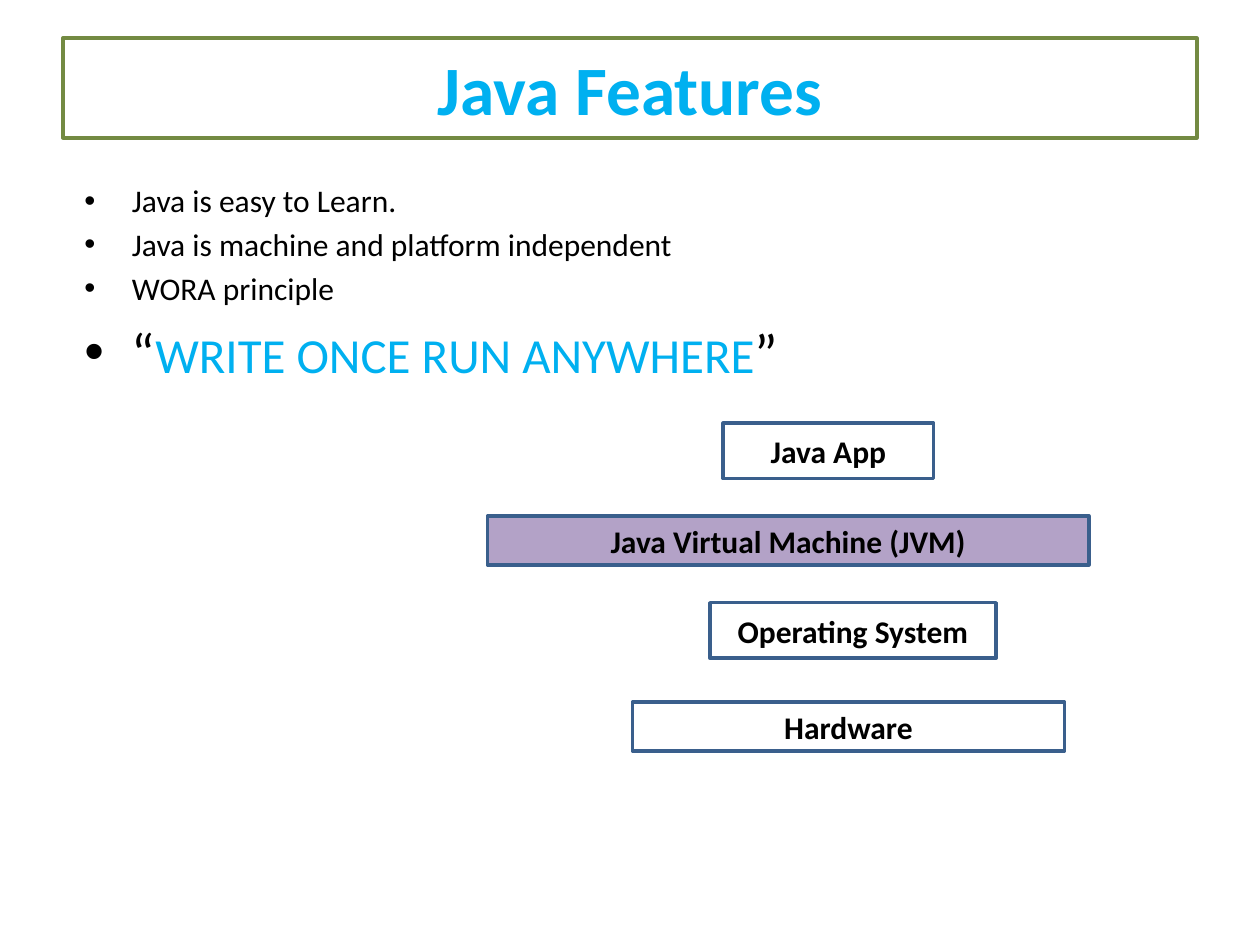
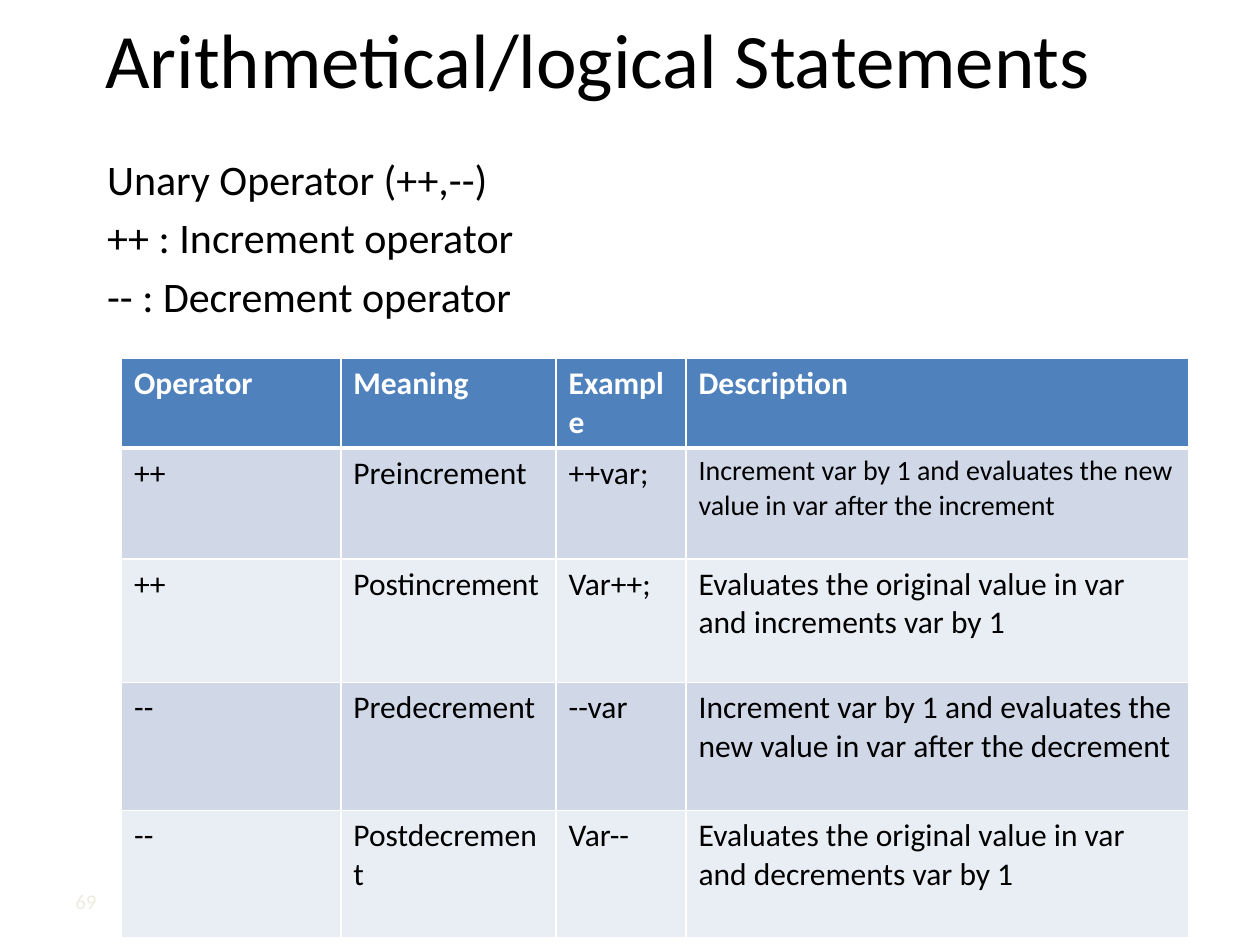
"""Build two Java lecture slides: language features and unary operators."""
from dataclasses import dataclass

from lxml import etree
from pptx import Presentation
from pptx.dml.color import RGBColor
from pptx.enum.shapes import MSO_SHAPE
from pptx.enum.text import MSO_ANCHOR, PP_ALIGN
from pptx.oxml.ns import qn
from pptx.util import Cm, Pt

RECTANGLE = MSO_SHAPE.RECTANGLE
MIDDLE, TOP = MSO_ANCHOR.MIDDLE, MSO_ANCHOR.TOP
CENTER, LEFT = PP_ALIGN.CENTER, PP_ALIGN.LEFT


@dataclass(frozen=True)
class Theme:
    """Colours, type sizes and line widths shared by the slides."""
    font: str = "Calibri"
    text: str = "000000"
    paper: str = "FFFFFF"
    accent: str = "00B0F0"
    title_line: str = "738A42"
    layer_line: str = "3A5F8C"
    jvm_fill: str = "B3A2C7"
    header_fill: str = "4F81BD"
    odd_row: str = "D0D8E8"
    even_row: str = "E9EDF4"
    page_number: str = "EEECE1"
    boxed_title_size: float = 39.6
    title_size: float = 44
    quote_size: float = 32
    motto_size: float = 28
    statement_size: float = 24
    body_size: float = 18
    small_size: float = 16
    page_size: float = 12
    outline: float = 2
    rule: float = 1
    header_rule: float = 3
    paragraph_gap: float = 0.19


THEME = Theme()

LAYERS = [
    ("Java App", (14.58, 8.53, 4.24, 1.12), THEME.paper),
    ("Java Virtual Machine (JVM)", (9.83, 10.4, 12.12, 0.99), THEME.jvm_fill),
    ("Operating System", (14.31, 12.15, 5.77, 1.12), THEME.paper),
    ("Hardware", (12.75, 14.15, 8.71, 0.99), THEME.paper),
]
FEATURES = [
    "Java is easy to Learn.",
    "Java is machine and platform independent",
    "WORA principle",
]
MOTTO = [
    ("“", THEME.quote_size, THEME.text),
    ("WRITE ONCE RUN ANYWHERE", THEME.motto_size, THEME.accent),
    ("”", THEME.quote_size, THEME.text),
]
STATEMENTS = [
    "Unary Operator (++,--)",
    "++ : Increment operator",
    "-- : Decrement operator",
]
OPERATORS = [
    ("Operator", "Meaning", "Example", "Description"),
    ("++", "Preincrement", "++var;",
     "Increment var by 1 and evaluates the new value in var after the increment"),
    ("++", "Postincrement", "Var++;",
     "Evaluates the original value in var and increments var by 1"),
    ("--", "Predecrement", "--var",
     "Increment var by 1 and evaluates the new value in var after the decrement"),
    ("--", "Postdecrement", "Var--",
     "Evaluates the original value in var and decrements var by 1"),
]
COLUMN_WIDTHS = (4.42, 4.34, 2.62, 10.13)
ROW_HEIGHTS = (1.8, 2.24, 2.49, 2.58, 2.56)


def place(box):
    """Turn a box in centimetres into lengths."""
    return [Cm(length) for length in box]


def style_run(run, size, color=THEME.text, bold=False):
    """Set the typeface, size, colour and weight of a run."""
    run.font.name = THEME.font
    run.font.size = Pt(size)
    run.font.color.rgb = RGBColor.from_string(color)
    run.font.bold = bold


def add_label(shape, text, size, color=THEME.text, bold=False, align=CENTER):
    """Write one line of text, centred vertically, in a shape."""
    frame = shape.text_frame
    frame.word_wrap = True
    frame.vertical_anchor = MIDDLE
    frame.text = text
    frame.paragraphs[0].alignment = align
    style_run(frame.paragraphs[0].runs[0], size, color, bold)


def add_box(slide, box, text, size, fill=THEME.paper, line=None, color=THEME.text):
    """Add a filled rectangle; an outlined one has a bold label."""
    rectangle = slide.shapes.add_shape(RECTANGLE, *place(box))
    rectangle.shadow.inherit = False
    rectangle.fill.solid()
    rectangle.fill.fore_color.rgb = RGBColor.from_string(fill)
    if line:
        rectangle.line.color.rgb = RGBColor.from_string(line)
        rectangle.line.width = Pt(THEME.outline)
    else:
        rectangle.line.fill.background()
    add_label(rectangle, text, size, color, bold=line is not None)


def add_page_number(slide, box, number):
    """Add the pale page number at the lower left."""
    add_label(slide.shapes.add_textbox(*place(box)), number,
              THEME.page_size, THEME.page_number, align=LEFT)


def indent(paragraph, margin, hanging=0, bullet=None):
    """Set the left margin of a paragraph, with an optional hanging bullet."""
    properties = paragraph._p.get_or_add_pPr()
    properties.set("marL", str(Cm(margin)))
    properties.set("indent", str(-Cm(hanging)))
    if bullet:
        etree.SubElement(properties, qn("a:buFont")).set("typeface", "Arial")
        etree.SubElement(properties, qn("a:buChar")).set("char", bullet)


def add_paragraphs(slide, box, paragraphs, margin, hanging=0, bullet=None):
    """Add a text block whose paragraphs are lists of (text, size, colour)."""
    frame = slide.shapes.add_textbox(*place(box)).text_frame
    frame.word_wrap = True
    for index, pieces in enumerate(paragraphs):
        paragraph = frame.add_paragraph() if index else frame.paragraphs[0]
        indent(paragraph, margin, hanging, bullet)
        if index:
            largest = max(size for _, size, _ in pieces)
            paragraph.space_before = Pt(THEME.paragraph_gap * largest)
        for text, size, color in pieces:
            run = paragraph.add_run()
            run.text = text
            style_run(run, size, color)


def add_borders(cell, top, bottom):
    """Draw the four paper-coloured borders of a table cell."""
    properties = cell._tc.get_or_add_tcPr()
    widths = {"lnL": THEME.rule, "lnR": THEME.rule, "lnT": top, "lnB": bottom}
    for side, width in widths.items():
        border = etree.SubElement(properties, qn(f"a:{side}"), w=str(Pt(width)))
        fill = etree.SubElement(border, qn("a:solidFill"))
        etree.SubElement(fill, qn("a:srgbClr")).set("val", THEME.paper)


def fill_cell(cell, text, row, size):
    """Write and colour one cell according to its row."""
    header = row == 0
    add_borders(cell,
                top=THEME.header_rule if row == 1 else THEME.rule,
                bottom=THEME.header_rule if header else THEME.rule)
    band = THEME.odd_row if row % 2 else THEME.even_row
    cell.fill.solid()
    cell.fill.fore_color.rgb = RGBColor.from_string(THEME.header_fill if header else band)
    cell.vertical_anchor = TOP
    cell.text = text
    style_run(cell.text_frame.paragraphs[0].runs[0], size,
              THEME.paper if header else THEME.text, header)


def add_operator_table(slide, left, top):
    """Add the table of increment and decrement operators."""
    box = (left, top, sum(COLUMN_WIDTHS), sum(ROW_HEIGHTS))
    table = slide.shapes.add_table(
        len(ROW_HEIGHTS), len(COLUMN_WIDTHS), *place(box)).table
    for column, width in zip(table.columns, COLUMN_WIDTHS):
        column.width = Cm(width)
    for row, height in zip(table.rows, ROW_HEIGHTS):
        row.height = Cm(height)
    for row, texts in enumerate(OPERATORS):
        for column, text in enumerate(texts):
            tight = (row, column) == (1, 3)
            size = THEME.small_size if tight else THEME.body_size
            fill_cell(table.cell(row, column), text, row, size)


def build_features(slide):
    """Build the slide on Java features and its platform layers."""
    add_box(slide, (1.27, 0.77, 22.86, 2.01), "Java Features",
            THEME.boxed_title_size, line=THEME.title_line, color=THEME.accent)
    features = [[(text, THEME.body_size, THEME.text)] for text in FEATURES]
    add_paragraphs(slide, (1.45, 3.53, 22.86, 12.57), features + [MOTTO],
                   margin=0.96, hanging=0.96, bullet="•")
    for text, box, fill in LAYERS:
        add_box(slide, box, text, THEME.body_size, fill, THEME.layer_line)


def build_operators(slide):
    """Build the slide on unary operators."""
    add_box(slide, (0.63, 0, 22.86, 2.34),
            "Arithmetical/logical Statements", THEME.title_size)
    statements = [[(text, THEME.statement_size, THEME.text)] for text in STATEMENTS]
    add_paragraphs(slide, (0.64, 2.97, 24.33, 13.28), statements, margin=1.27)
    add_page_number(slide, (1.27, 17.66, 1.5, 1.01), "69")
    add_operator_table(slide, 2.45, 7.23)


def main():
    """Create the presentation and save it."""
    presentation = Presentation()
    presentation.slide_width, presentation.slide_height = Cm(25.4), Cm(19.05)
    blank = presentation.slide_layouts[6]
    for build in (build_features, build_operators):
        build(presentation.slides.add_slide(blank))
    presentation.save("out.pptx")


if __name__ == "__main__":
    main()
